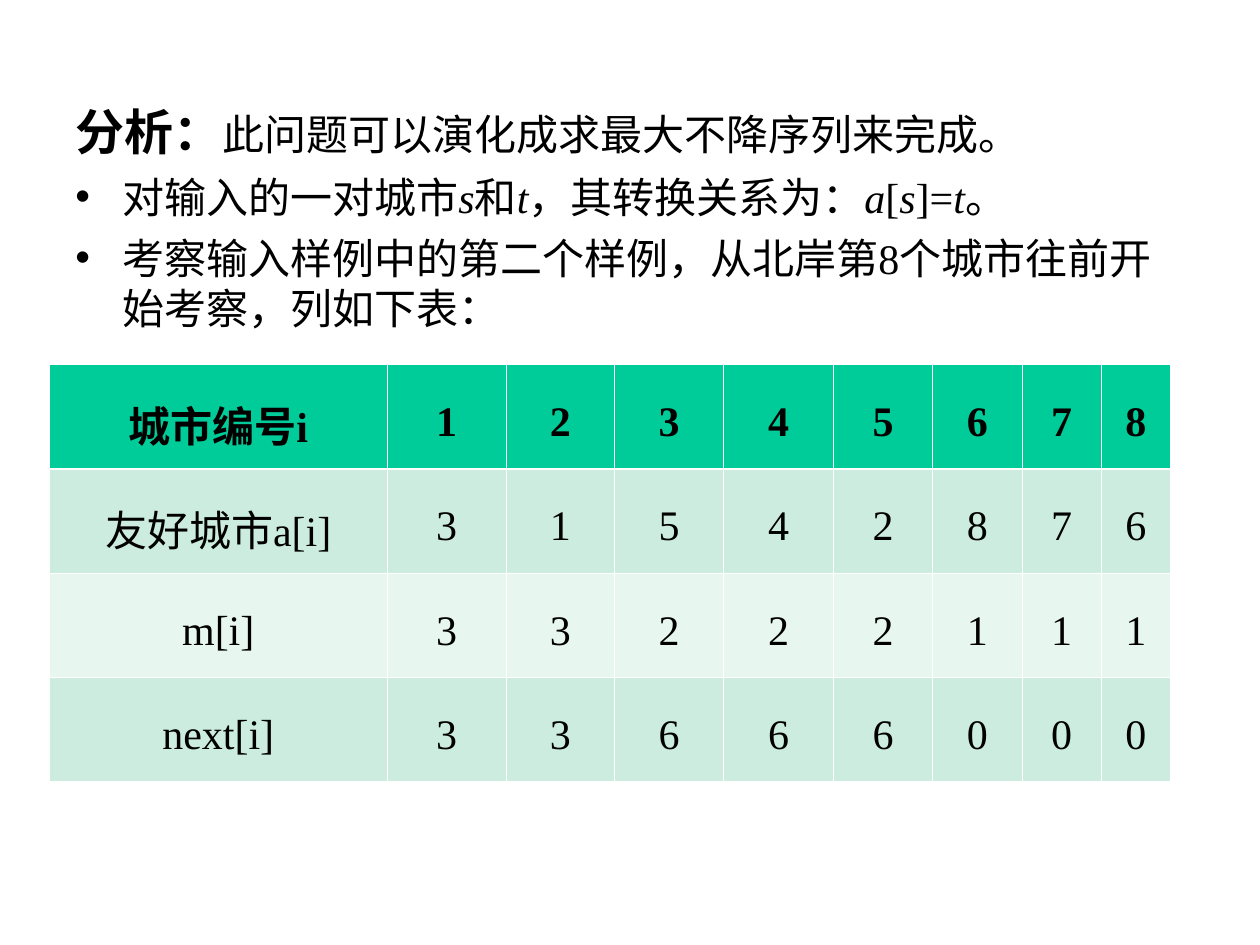
from dataclasses import dataclass

from lxml import etree
from pptx import Presentation
from pptx.dml.color import RGBColor
from pptx.enum.lang import MSO_LANGUAGE_ID
from pptx.enum.text import MSO_ANCHOR, PP_ALIGN
from pptx.oxml.ns import qn
from pptx.util import Cm, Pt

CENTER = PP_ALIGN.CENTER
MIDDLE = MSO_ANCHOR.MIDDLE
CHINESE = MSO_LANGUAGE_ID.SIMPLIFIED_CHINESE


@dataclass(frozen=True)
class Theme:
    font: str = "Times New Roman"
    ink: str = "000000"
    rule: str = "FFFFFF"
    head: str = "00CC99"
    bands: tuple = ("E7F6EF", "CBECDE")
    lead: int = 28
    body: int = 24
    thin: float = 0.45
    thick: float = 1.47


THEME = Theme()

# Every second part of a point is italic.
POINTS = [
    ["对输入的一对城市", "s", "和", "t", "，其转换关系为：", "a", "[", "s", "]=", "t", "。"],
    ["考察输入样例中的第二个样例，从北岸第8个城市往前开始考察，列如下表："],
]
ROWS = [
    ["城市编号i", *"12345678"],
    ["友好城市a[i]", *"31542876"],
    ["m[i]", *"33222111"],
    ["next[i]", *"33666000"],
]
WIDTHS = [6.81, 2.41, 2.18, 2.21, 2.21, 2.01, 1.8, 1.6, 1.4]


def write(para, text, size=THEME.body, bold=False, italic=False):
    run = para.add_run()
    run.text = text
    font = run.font
    font.name, font.size = THEME.font, Pt(size)
    font.bold, font.italic = bold, italic
    font.color.rgb = RGBColor.from_string(THEME.ink)
    font.language_id = CHINESE


def paint(parent, color):
    fill = etree.SubElement(parent, qn("a:solidFill"))
    etree.SubElement(fill, qn("a:srgbClr"), val=color)


def indent(para, bullet=False):
    """Hang the paragraph, with a round bullet if asked."""
    props = para._p.get_or_add_pPr()
    props.set("marL", str(Cm(0.95)))
    props.set("indent", str(-Cm(0.95)))
    if bullet:
        tint = etree.SubElement(props, qn("a:buClr"))
        etree.SubElement(tint, qn("a:srgbClr"), val=THEME.ink)
        etree.SubElement(props, qn("a:buFont"), typeface="Arial")
        etree.SubElement(props, qn("a:buChar"), char="•")
        para.space_before = Pt(6)


def border(cell, top, bottom):
    props = cell._tc.get_or_add_tcPr()
    widths = {"L": THEME.thin, "R": THEME.thin, "T": top, "B": bottom}
    for side, width in widths.items():
        line = etree.SubElement(props, qn(f"a:ln{side}"), w=str(Pt(width)))
        paint(line, THEME.rule)


def add_notes(slide, left, top, width, height):
    """Place the lead line and the bullet points."""
    frame = slide.shapes.add_textbox(left, top, width, height).text_frame
    frame.word_wrap = True
    lead = frame.paragraphs[0]
    indent(lead)
    write(lead, "分析：", size=THEME.lead, bold=True)
    write(lead, "此问题可以演化成求最大不降序列来完成。")
    for point in POINTS:
        para = frame.add_paragraph()
        indent(para, bullet=True)
        for i, part in enumerate(point):
            write(para, part, italic=i % 2 == 1)


def add_grid(slide, left, top, width, height):
    """Place the city table, its columns scaled to the box."""
    shape = slide.shapes.add_table(len(ROWS), len(WIDTHS), left, top, width, height)
    table = shape.table
    table.horz_banding = False
    for col, share in zip(table.columns, WIDTHS):
        col.width = int(width * share / sum(WIDTHS))
    for r, row in enumerate(ROWS):
        above = THEME.thick if r == 1 else THEME.thin
        below = THEME.thick if r == 0 else THEME.thin
        color = THEME.bands[r % 2] if r else THEME.head
        for c, text in enumerate(row):
            cell = table.cell(r, c)
            border(cell, above, below)
            cell.fill.solid()
            cell.fill.fore_color.rgb = RGBColor.from_string(color)
            cell.vertical_anchor = MIDDLE
            cell.margin_left = cell.margin_right = Cm(0.2)
            para = cell.text_frame.paragraphs[0]
            para.alignment = CENTER
            para.line_spacing = 1.25
            write(para, text, bold=r == 0)


def main():
    deck = Presentation()
    deck.slide_width, deck.slide_height = Cm(25.4), Cm(19.05)
    slide = deck.slides.add_slide(deck.slide_layouts[6])
    add_notes(slide, Cm(1.27), Cm(1.93), Cm(22.86), Cm(15.09))
    add_grid(slide, Cm(1), Cm(7.35), Cm(22.6), Cm(8.4))
    deck.save("out.pptx")


if __name__ == "__main__":
    main()
